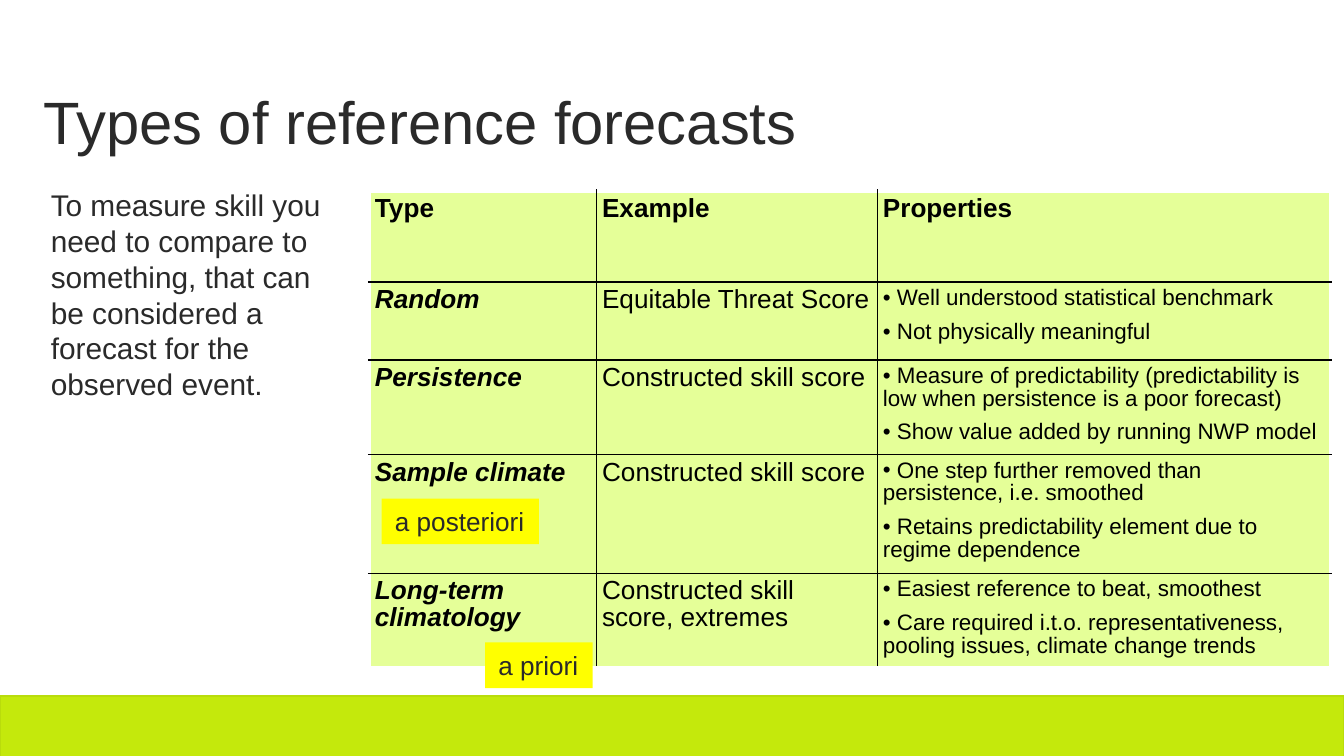
from dataclasses import dataclass

from lxml import etree
from pptx import Presentation
from pptx.dml.color import RGBColor
from pptx.enum.shapes import MSO_SHAPE
from pptx.enum.text import MSO_ANCHOR, PP_ALIGN
from pptx.oxml.ns import qn
from pptx.util import Inches, Pt

RECTANGLE = MSO_SHAPE.RECTANGLE
MIDDLE = MSO_ANCHOR.MIDDLE
LEFT = PP_ALIGN.LEFT


@dataclass(frozen=True)
class Theme:
    font: str = "Arial"
    text: str = "2A2A2A"
    table_text: str = "000000"
    table_fill: str = "CCFF33"
    table_opacity: int = 50
    inner_border: str = "000000"
    outer_border: str = "FFFFFF"
    label: str = "FFFF00"
    band: str = "C4E90C"
    band_line: str = "B9DC0C"
    title_size: int = 32
    body_size: int = 16
    cell_size: int = 14
    bullet_size: int = 12
    inner_width: float = 1
    outer_width: float = 2.25


THEME = Theme()
COLUMN_WIDTHS = [1.69, 2.09, 3.37]
ROW_HEIGHTS = [0.68, 0.58, 0.68, 0.86, 0.68]
HEADINGS = ["Type", "Example", "Properties"]
FORECASTS = [
    ("Random", "Equitable Threat Score", [
        "Well understood statistical benchmark",
        "Not physically meaningful"]),
    ("Persistence", "Constructed skill score", [
        "Measure of predictability (predictability is low when persistence is a poor forecast)",
        "Show value added by running NWP model"]),
    ("Sample climate", "Constructed skill score", [
        "One step further removed than persistence, i.e. smoothed",
        "Retains predictability element due to regime dependence"]),
    ("Long-term climatology", "Constructed skill score, extremes", [
        "Easiest reference to beat, smoothest",
        "Care required i.t.o. representativeness, pooling issues, climate change trends"]),
]


def style(paragraph, size, color=THEME.text, bold=False, italic=False):
    font = paragraph.font
    font.name = THEME.font
    font.size = Pt(size)
    font.color.rgb = RGBColor.from_string(color)
    font.bold = bold
    font.italic = italic


def set_margins(box, margin):
    box.margin_left = box.margin_right = margin
    box.margin_top = box.margin_bottom = margin


def add_rectangle(slide, left, top, width, height, fill, line=None):
    shape = slide.shapes.add_shape(
        RECTANGLE, Inches(left), Inches(top), Inches(width), Inches(height))
    shape.shadow.inherit = False
    shape.fill.solid()
    shape.fill.fore_color.rgb = RGBColor.from_string(fill)
    if line:
        shape.line.color.rgb = RGBColor.from_string(line)
        shape.line.width = Pt(1)
    else:
        shape.line.fill.background()
    return shape


def add_text(slide, left, top, width, height, text, size, spacing=None):
    frame = slide.shapes.add_textbox(
        Inches(left), Inches(top), Inches(width), Inches(height)).text_frame
    frame.word_wrap = True
    paragraph = frame.paragraphs[0]
    paragraph.text = text
    paragraph.line_spacing = spacing
    style(paragraph, size)
    return frame


def add_label(slide, left, top, width, text):
    shape = add_rectangle(slide, left, top, width, 0.34, THEME.label)
    frame = shape.text_frame
    frame.word_wrap = False
    paragraph = frame.paragraphs[0]
    paragraph.text = text
    paragraph.alignment = LEFT
    style(paragraph, THEME.cell_size)


def add_bullet(paragraph):
    properties = paragraph._p.get_or_add_pPr()
    properties.set("marL", "0")
    properties.set("indent", "0")
    etree.SubElement(properties, qn("a:buFont")).set("typeface", THEME.font)
    etree.SubElement(properties, qn("a:buChar")).set("char", "•")


def fill_cell(cell):
    cell.fill.solid()
    cell.fill.fore_color.rgb = RGBColor.from_string(THEME.table_fill)
    color = cell._tc.tcPr.find(qn("a:solidFill"))[0]
    etree.SubElement(color, qn("a:alpha")).set("val", str(THEME.table_opacity * 1000))


def set_borders(cell, outer_sides):
    for index, side in enumerate("LRTB"):
        outer = side in outer_sides
        line = etree.Element(qn(f"a:ln{side}"))
        line.set("w", str(Pt(THEME.outer_width if outer else THEME.inner_width)))
        fill = etree.SubElement(line, qn("a:solidFill"))
        color = THEME.outer_border if outer else THEME.inner_border
        etree.SubElement(fill, qn("a:srgbClr")).set("val", color)
        cell._tc.tcPr.insert(index, line)


def write_cell(cell, content, bold, italic):
    bulleted = isinstance(content, list)
    lines = [f" {item}" for item in content] if bulleted else [content]
    frame = cell.text_frame
    frame.text = "\n".join(lines)
    for index, paragraph in enumerate(frame.paragraphs):
        paragraph.line_spacing = 0.9
        if index:
            paragraph.space_before = Pt(6)
        if bulleted:
            add_bullet(paragraph)
        size = THEME.bullet_size if bulleted else THEME.cell_size
        style(paragraph, size, THEME.table_text, bold, italic)


def add_forecast_table(slide):
    rows = [HEADINGS, *FORECASTS]
    table = slide.shapes.add_table(
        len(rows), len(HEADINGS), Inches(2.75), Inches(1.42),
        Inches(sum(COLUMN_WIDTHS)), Inches(sum(ROW_HEIGHTS))).table
    table.first_row = table.horz_banding = False
    for column, width in zip(table.columns, COLUMN_WIDTHS):
        column.width = Inches(width)
    for row, height in zip(table.rows, ROW_HEIGHTS):
        row.height = Inches(height)

    last_row, last_column = len(rows) - 1, len(HEADINGS) - 1
    for row, contents in enumerate(rows):
        for column, content in enumerate(contents):
            cell = table.cell(row, column)
            set_margins(cell, Inches(0.04))
            write_cell(cell, content, bold=row == 0 or column == 0,
                       italic=row > 0 and column == 0)
            fill_cell(cell)
            edges = {"L": column == 0, "R": column == last_column,
                     "T": row == 0, "B": row == last_row}
            set_borders(cell, [side for side, outer in edges.items() if outer])


def main():
    presentation = Presentation()
    presentation.slide_width = Inches(10)
    presentation.slide_height = Inches(10) * 9 // 16
    slide = presentation.slides.add_slide(presentation.slide_layouts[6])

    add_rectangle(slide, 0, 5.18, 10, 0.45, THEME.band, THEME.band_line)
    title = add_text(slide, 0.28, 0.62, 9.45, 0.63,
                     "Types of reference forecasts", THEME.title_size, 0.9)
    title.vertical_anchor = MIDDLE
    set_margins(title, Inches(0.04))
    add_forecast_table(slide)
    add_text(slide, 0.28, 1.34, 2.33, 1.72,
             "To measure skill you need to compare to something, that can be "
             "considered a forecast for the observed event.", THEME.body_size)
    add_label(slide, 2.84, 3.71, 1.17, "a posteriori")
    add_label(slide, 3.61, 4.78, 0.8, "a priori")
    presentation.save("out.pptx")


if __name__ == "__main__":
    main()
